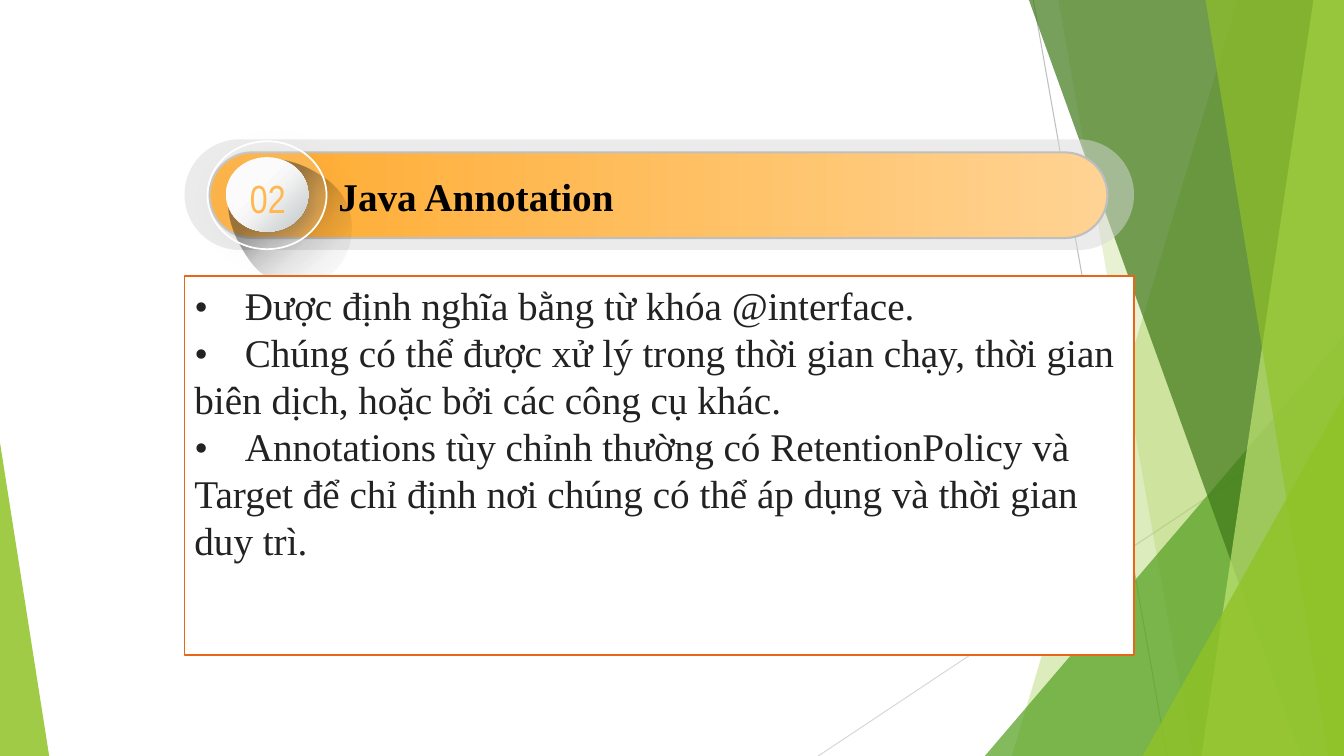
from lxml import etree
from pptx import Presentation
from pptx.dml.color import RGBColor
from pptx.enum.shapes import MSO_CONNECTOR, MSO_SHAPE
from pptx.enum.text import MSO_ANCHOR, PP_ALIGN
from pptx.oxml.ns import qn
from pptx.util import Cm, Pt

STRAIGHT = MSO_CONNECTOR.STRAIGHT
TRIANGLE = MSO_SHAPE.ISOSCELES_TRIANGLE
PILL = MSO_SHAPE.ROUNDED_RECTANGLE
OVAL = MSO_SHAPE.OVAL
RECTANGLE = MSO_SHAPE.RECTANGLE

# Content
NUMBER = "02"
TITLE = "Java Annotation"
POINTS = [
    "Được định nghĩa bằng từ khóa @interface.",
    "Chúng có thể được xử lý trong thời gian chạy, thời gian biên dịch, "
    "hoặc bởi các công cụ khác.",
    "Annotations tùy chỉnh thường có RetentionPolicy và Target để chỉ định "
    "nơi chúng có thể áp dụng và thời gian duy trì.",
]
SERIF, NARROW, TEXT_SIZE = "Times New Roman", "Arial Narrow", 28

# Layout in centimetres; boxes are left, top, width, height
WIDTH, HEIGHT = 33.87, 19.05
RAYS = [((26.04, 0), (29.41, HEIGHT), "BFBFBF"),
        ((WIDTH, 10.24), (20.62, HEIGHT), "D9D9D9")]
# Slabs: top x, bottom x; wedges: left, top, width, apex position
FACETS = [
    ("slab", (31.19, 25.5), "90C226", 30),
    ("slab", (26.67, 30.05), "90C226", 20),
    ("wedge", (24.82, 8.46, 9.05, 1), "54A021", 72),
    ("slab", (25.93, 32.79), "3F7819", 70),
    ("slab", (33.1, 30.28), "C0E474", 70),
    ("slab", (30.38, 33.48), "90C226", 65),
    ("wedge", (28.8, 9.98, 5.07, 1), "90C226", 80),
    ("wedge", (0, 11.15, 1.24, 0), "90C226", 85),
]
HALO_BOX = (4.65, 3.51, 23.93, 2.79)
BAR_BOX = (5.28, 3.84, 22.63, 2.16)
INNER_BALL_BOX = (5.94, 4.24, 1.75, 1.57)
BALL_BOX = (5.69, 3.96, 2.08, 1.88)
RING_BOX = (5.23, 3.56, 3, 2.72)
NUMBER_BOX = (6.05, 4.27, 1.73, 1.45)
TITLE_BOX = (8.28, 4.22, 19.18, 1.45)
POINTS_BOX = (4.65, 6.96, 23.93, 9.55)
CAST_START = (6.3, 6.55)
CAST_CURVES = [
    ((5.74, 5.77), (5.54, 4.9), (6.07, 4.34)),
    ((6.63, 3.81), (7.54, 4.01), (8.28, 4.57)),
    ((9.02, 5.13), (9.02, 6.15), (8.48, 6.76)),
    ((7.92, 7.32), (6.83, 7.32), CAST_START),
]

# Gradient stops: position, colour, opacity
BAR_STOPS = [(0, "FFAA2D", 100), (100, "FFD393", 100)]
CAST_STOPS = [(position, "000000", opacity) for position, opacity in
              [(0, 100), (17, 46), (34, 43), (51, 20), (65, 10), (78, 5), (100, 0)]]
INNER_BALL_STOPS = [(0, "FFFFFF", 100), (43, "F7F7F7", 100), (100, "B8C0C0", 100)]
BALL_STOPS = [(0, "FFFFFF", 100), (39, "FFFFFF", 100),
              (53, "F7F7F7", 100), (100, "B8C0C0", 100)]

prs = Presentation()
prs.slide_width, prs.slide_height = Cm(WIDTH), Cm(HEIGHT)
slide = prs.slides.add_slide(prs.slide_layouts[6])
shapes = slide.shapes


def rgb(value):
    return RGBColor.from_string(value)


def child(parent, tag, **attributes):
    return etree.SubElement(parent, qn(tag), {k: str(v) for k, v in attributes.items()})


def set_line(shape, color=None, width=1):
    if color:
        shape.line.color.rgb = rgb(color)
        shape.line.width = Pt(width)
    else:
        shape.line.fill.background()


def paint(shape, color, opacity=100):
    shape.shadow.inherit = False
    shape.fill.solid()
    shape.fill.fore_color.rgb = rgb(color)
    if opacity < 100:
        tint = shape.fill._xPr.find(".//" + qn("a:srgbClr"))
        child(tint, "a:alpha", val=opacity * 1000)
    set_line(shape)
    return shape


def blend(shape, stops, clockwise):
    shape.shadow.inherit = False
    shape.fill.gradient()
    shape.fill.gradient_angle = -clockwise % 360
    stop_list = shape.fill._xPr.find(".//" + qn("a:gsLst"))
    for old in list(stop_list):
        stop_list.remove(old)
    for position, color, opacity in stops:
        stop = child(stop_list, "a:gs", pos=position * 1000)
        child(child(stop, "a:srgbClr", val=color), "a:alpha", val=opacity * 1000)
    set_line(shape)
    return shape


def cast_shadow(shape, color, opacity, blur, distance):
    effects = shape._element.spPr.find(qn("a:effectLst"))
    outer = child(effects, "a:outerShdw", blurRad=Pt(blur), dist=Pt(distance),
                  dir=45 * 60000, algn="ctr", rotWithShape=0)
    child(child(outer, "a:srgbClr", val=color), "a:alpha", val=opacity * 1000)


def preset(kind, box, *adjustments):
    shape = shapes.add_shape(kind, *map(Cm, box))
    for i, value in enumerate(adjustments):
        shape.adjustments[i] = value
    return shape


def outline(points):
    corners = [(Cm(x), Cm(y)) for x, y in points]
    builder = shapes.build_freeform(*corners[0])
    builder.add_line_segments(corners[1:], close=True)
    return builder.convert_to_shape()


def curve_points(start, curves, steps=16):
    points = [start]
    for a, b, end in curves:
        begin = points[-1]
        for t in (i / steps for i in range(1, steps + 1)):
            weights = ((1 - t) ** 3, 3 * t * (1 - t) ** 2, 3 * t * t * (1 - t), t ** 3)
            points.append(tuple(sum(w * p[axis] for w, p in zip(weights, (begin, a, b, end)))
                                for axis in (0, 1)))
    return points


def write(paragraph, text, font, color, bold=False):
    run = paragraph.add_run()
    run.text = text
    run.font.name, run.font.size, run.font.bold = font, Pt(TEXT_SIZE), bold
    run.font.color.rgb = rgb(color)


def label(box, *text):
    frame = shapes.add_textbox(*map(Cm, box)).text_frame
    frame.word_wrap = True
    write(frame.paragraphs[0], *text)


# Background rays and facets
for start, end, color in RAYS:
    ray = shapes.add_connector(STRAIGHT, *map(Cm, start + end))
    set_line(ray, color, 0.75)
    child(ray._element.spPr, "a:effectLst")
for kind, place, color, opacity in FACETS:
    if kind == "slab":
        top_x, bottom_x = place
        facet = outline([(top_x, 0), (WIDTH, 0), (WIDTH, HEIGHT), (bottom_x, HEIGHT)])
    else:
        left, top, width, apex = place
        facet = preset(TRIANGLE, (left, top, width, HEIGHT - top), apex)
    paint(facet, color, opacity)

# Title bar
paint(preset(PILL, HALO_BOX, 0.5), "D8D8D8", 50)
bar = blend(preset(PILL, BAR_BOX, 0.5), BAR_STOPS, 0)
set_line(bar, "BFBFBF", 1.5)

# Number ball
blend(outline(curve_points(CAST_START, CAST_CURVES)), CAST_STOPS, 45)
inner_ball = blend(preset(OVAL, INNER_BALL_BOX), INNER_BALL_STOPS, 45)
cast_shadow(inner_ball, "494949", 30, 11, 7)
blend(preset(OVAL, BALL_BOX), BALL_STOPS, 45)
ring = paint(preset(OVAL, RING_BOX), "FFFFFF", 14)
set_line(ring, "FFFFFF", 1.25)
cast_shadow(ring, "000000", 11, 17, 7)
label(NUMBER_BOX, NUMBER, NARROW, "FFB850")
label(TITLE_BOX, TITLE, SERIF, "000000", True)

# Points
panel = paint(preset(RECTANGLE, POINTS_BOX), "FFFFFF")
set_line(panel, "E76618", 1)
frame = panel.text_frame
frame.word_wrap = True
frame.vertical_anchor = MSO_ANCHOR.TOP
for i, point in enumerate(POINTS):
    paragraph = frame.add_paragraph() if i else frame.paragraphs[0]
    paragraph.alignment = PP_ALIGN.LEFT
    tabs = child(paragraph._p.get_or_add_pPr(), "a:tabLst")
    child(tabs, "a:tab", pos=Cm(1.27), algn="l")
    write(paragraph, "•\t" + point, SERIF, "222222")

prs.save("out.pptx")
